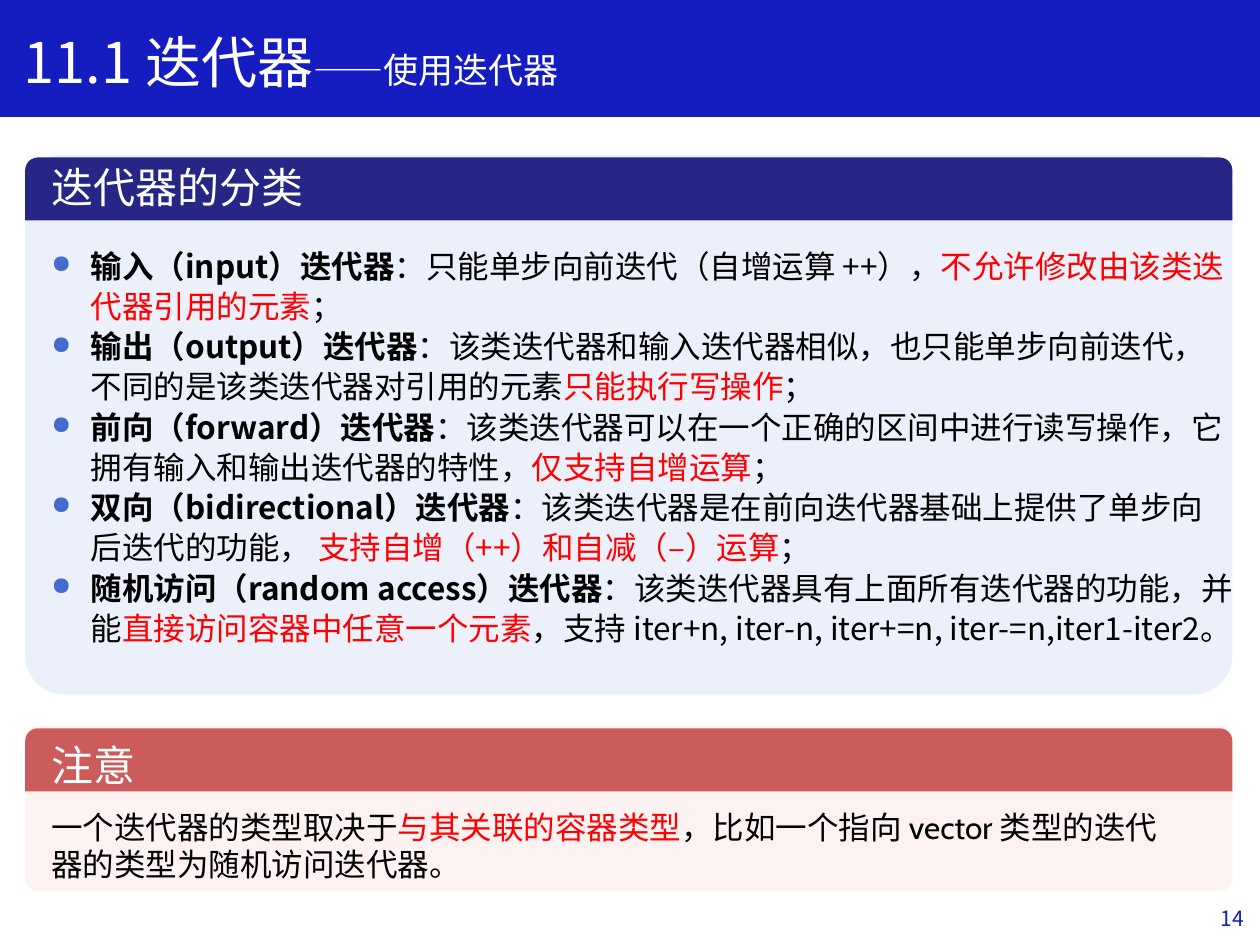
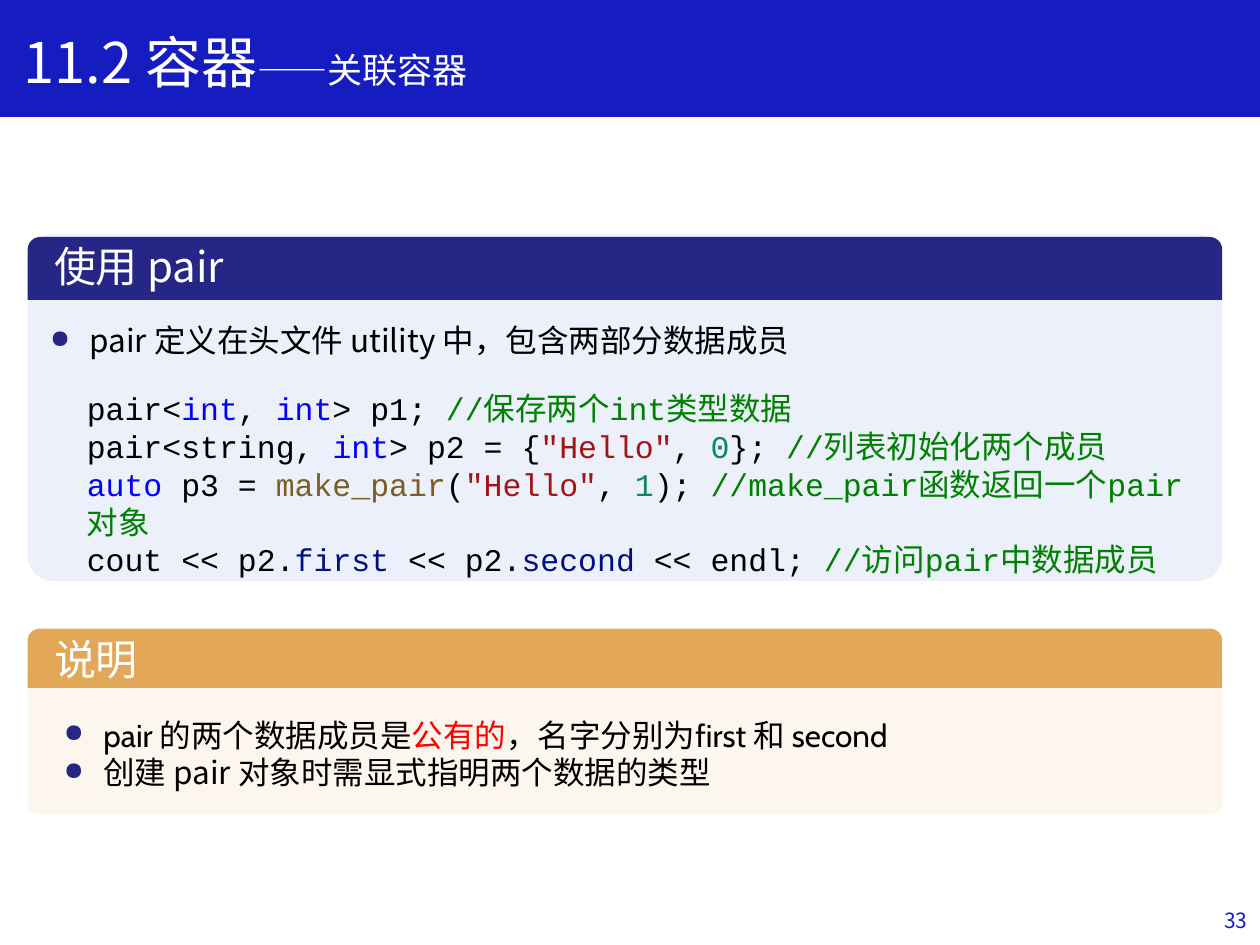
"""Build two lecture slides on C++ iterators and the pair container."""
import lxml.etree
import pptx
import pptx.dml.color
import pptx.enum.shapes
import pptx.enum.text
import pptx.oxml.ns
import pptx.util

Pt = pptx.util.Pt
RGB = pptx.dml.color.RGBColor.from_string
PRESET = pptx.enum.shapes.MSO_SHAPE
ALIGN = pptx.enum.text.PP_ALIGN
ANCHOR = pptx.enum.text.MSO_ANCHOR
qn = pptx.oxml.ns.qn


class Theme:
    sans, accent, mono = "Noto Sans CJK SC", "Cabin", "Courier New"
    title, subtitle, heading, body, footer = 32, 20, 24, 18, 12
    band, white, bullet_light = "151DC1", "FFFFFF", "456BCF"
    navy, navy_tint = "262686", "ECF0FA"
    red, red_tint = "CC5C5C", "FDF2F2"
    orange, orange_tint = "E3A857", "FCF6EE"
    indent, list_leading = 22.5, 23
    styles = {
        "title": (sans, title, white, False),
        "subtitle": (sans, subtitle, white, False),
        "heading": (sans, heading, white, False),
        "footer": (sans, footer, band, False),
        "plain": (sans, body, "000000", False),
        "term": (sans, body, "000000", True),
        "key": (sans, body, "FF0000", False),
        "latin": (accent, body, "000000", False),
        "code": (mono, body, "000000", False),
        "keyword": (mono, body, "0000FF", False),
        "string": (mono, body, "A31515", False),
        "number": (mono, body, "09885A", False),
        "function": (mono, body, "795E26", False),
        "member": (mono, body, "001080", False),
        "comment": (mono, body, "008000", False),
    }


def add_block(slide, preset, box, color, corners=()):
    block = slide.shapes.add_shape(preset, *map(Pt, box))
    block.shadow.inherit = False
    block.fill.solid()
    block.fill.fore_color.rgb = RGB(color)
    block.line.fill.background()
    for index, corner in enumerate(corners):
        block.adjustments[index] = corner
    return block


def add_text(slide, box, paragraphs, bullet=None, leading=None):
    frame = slide.shapes.add_textbox(*map(Pt, box)).text_frame
    frame.word_wrap = True
    for index, pieces in enumerate(paragraphs):
        paragraph = frame.add_paragraph() if index else frame.paragraphs[0]
        if leading:
            paragraph.line_spacing = Pt(leading)
        if bullet:
            properties = paragraph._p.get_or_add_pPr()
            properties.set("marL", str(Pt(Theme.indent)))
            properties.set("indent", str(-Pt(Theme.indent)))
            tint = lxml.etree.SubElement(properties, qn("a:buClr"))
            lxml.etree.SubElement(tint, qn("a:srgbClr"), val=bullet)
            lxml.etree.SubElement(properties, qn("a:buSzPct"), val="80000")
            lxml.etree.SubElement(properties, qn("a:buChar"), char="●")
        for style, words in pieces:
            font, size, color, bold = Theme.styles[style]
            run = paragraph.add_run()
            run.text = words
            run.font.name = font
            run.font.size = Pt(size)
            run.font.bold = bold
            run.font.color.rgb = RGB(color)
            east_asian = lxml.etree.SubElement(run._r.get_or_add_rPr(), qn("a:ea"))
            east_asian.set("typeface", Theme.sans)
    return frame


iterator_kinds = [
    [("term", "输入（input）迭代器"), ("plain", "：只能单步向前迭代（自增运算 ++），"),
     ("key", "不允许修改由该类迭代器引用的元素"), ("plain", "；")],
    [("term", "输出（output）迭代器"),
     ("plain", "：该类迭代器和输入迭代器相似，也只能单步向前迭代，不同的是该类迭代器对引用的元素"),
     ("key", "只能执行写操作"), ("plain", "；")],
    [("term", "前向（forward）迭代器"),
     ("plain", "：该类迭代器可以在一个正确的区间中进行读写操作，它拥有输入和输出迭代器的特性，"),
     ("key", "仅支持自增运算"), ("plain", "；")],
    [("term", "双向（bidirectional）迭代器"),
     ("plain", "：该类迭代器是在前向迭代器基础上提供了单步向后迭代的功能， "),
     ("key", "支持自增（++）和自减（–）运算"), ("plain", "；")],
    [("term", "随机访问（random access）迭代器"),
     ("plain", "：该类迭代器具有上面所有迭代器的功能，并能"),
     ("key", "直接访问容器中任意一个元素"),
     ("plain", "，支持 iter+n, iter-n, iter+=n, iter-=n,iter1-iter2。")],
]
iterator_note = [
    [("plain", "一个迭代器的类型取决于"), ("key", "与其关联的容器类型"),
     ("plain", "，比如一个指向 "), ("latin", "vector "),
     ("plain", "类型的迭代器的类型为随机访问迭代器。")],
]
pair_definition = [[("plain", "pair 定义在头文件 utility 中，包含两部分数据成员")]]
pair_code = [
    [("code", "pair<"), ("keyword", "int"), ("code", ", "), ("keyword", "int"),
     ("code", "> p1; "), ("comment", "//保存两个int类型数据")],
    [("code", "pair<string, "), ("keyword", "int"), ("code", "> p2 = {"),
     ("string", '"Hello"'), ("code", ", "), ("number", "0"), ("code", "}; "),
     ("comment", "//列表初始化两个成员")],
    [("keyword", "auto"), ("code", " p3 = "), ("function", "make_pair"), ("code", "("),
     ("string", '"Hello"'), ("code", ", "), ("number", "1"), ("code", "); "),
     ("comment", "//make_pair函数返回一个pair对象")],
    [("code", "cout << p2."), ("member", "first"), ("code", " << p2."),
     ("member", "second"), ("code", " << endl; "), ("comment", "//访问pair中数据成员")],
]
pair_notes = [
    [("latin", "pair "), ("plain", "的两个数据成员是"), ("key", "公有的"),
     ("plain", "，名字分别为"), ("latin", "first "), ("plain", "和 "), ("latin", "second")],
    [("plain", "创建 pair 对象时需显式指明两个数据的类型")],
]

# Panel: heading, heading top, bar (top, height), body (top, height), bar and body colours.
lessons = [
    {
        "topic": "11.1 迭代器", "aspect": "——使用迭代器", "page": "14",
        "page_at": (555.8, 510.5), "left": 14.4, "width": 689.8,
        "panels": [
            ("迭代器的分类", 88.6, (90, 36), (88.6, 308.2), Theme.navy, Theme.navy_tint),
            ("注意", 419, (416.2, 36), (414.7, 94.3), Theme.red, Theme.red_tint),
        ],
        "texts": [
            ((22.3, 136.1, 689.8, 261.4), iterator_kinds, Theme.bullet_light, Theme.list_leading),
            ((22.3, 457.9, 656.6, 51.1), iterator_note, None, None),
        ],
    },
    {
        "topic": "11.2 容器", "aspect": "——关联容器", "page": "33",
        "page_at": (558, 511.2), "left": 15.8, "width": 682.6,
        "panels": [
            ("使用 pair", 133.9, (135.4, 36), (133.9, 198), Theme.navy, Theme.navy_tint),
            ("说明", 358.6, (359.3, 33.8), (377.3, 87.8), Theme.orange, Theme.orange_tint),
        ],
        "texts": [
            ((21.6, 180, 668.9, 28.8), pair_definition, Theme.navy, None),
            ((42.5, 218.9, 647.3, 94.3), pair_code, None, None),
            ((29.5, 405.4, 528.5, 51.1), pair_notes, Theme.navy, None),
        ],
    },
]

deck = pptx.Presentation()
deck.slide_width, deck.slide_height = Pt(720), Pt(540)

for lesson in lessons:
    slide = deck.slides.add_slide(deck.slide_layouts[6])
    band = add_block(slide, PRESET.RECTANGLE, (0, 0, 720, 66.2), Theme.band)
    band.line.color.rgb = RGB(Theme.band)
    band.line.width = Pt(1)
    page = add_text(slide, (*lesson["page_at"], 162, 28.8), [[("footer", lesson["page"])]])
    page.vertical_anchor = ANCHOR.MIDDLE
    page.paragraphs[0].alignment = ALIGN.RIGHT
    add_text(slide, (6.5, 12.2, 535.7, 46),
             [[("title", lesson["topic"]), ("subtitle", lesson["aspect"])]])

    left, width = lesson["left"], lesson["width"]
    for heading, heading_top, bar, body, bar_color, body_color in lesson["panels"]:
        add_block(slide, PRESET.ROUNDED_RECTANGLE, (left, body[0], width, body[1]),
                  body_color, (0.072,))
        add_block(slide, PRESET.ROUND_2_SAME_RECTANGLE, (left, bar[0], width, bar[1]),
                  bar_color, (0.2, 0))
        add_text(slide, (left + 8, heading_top, 468, 36), [[("heading", heading)]])

    for box, paragraphs, bullet, leading in lesson["texts"]:
        add_text(slide, box, paragraphs, bullet, leading)

deck.save("out.pptx")
